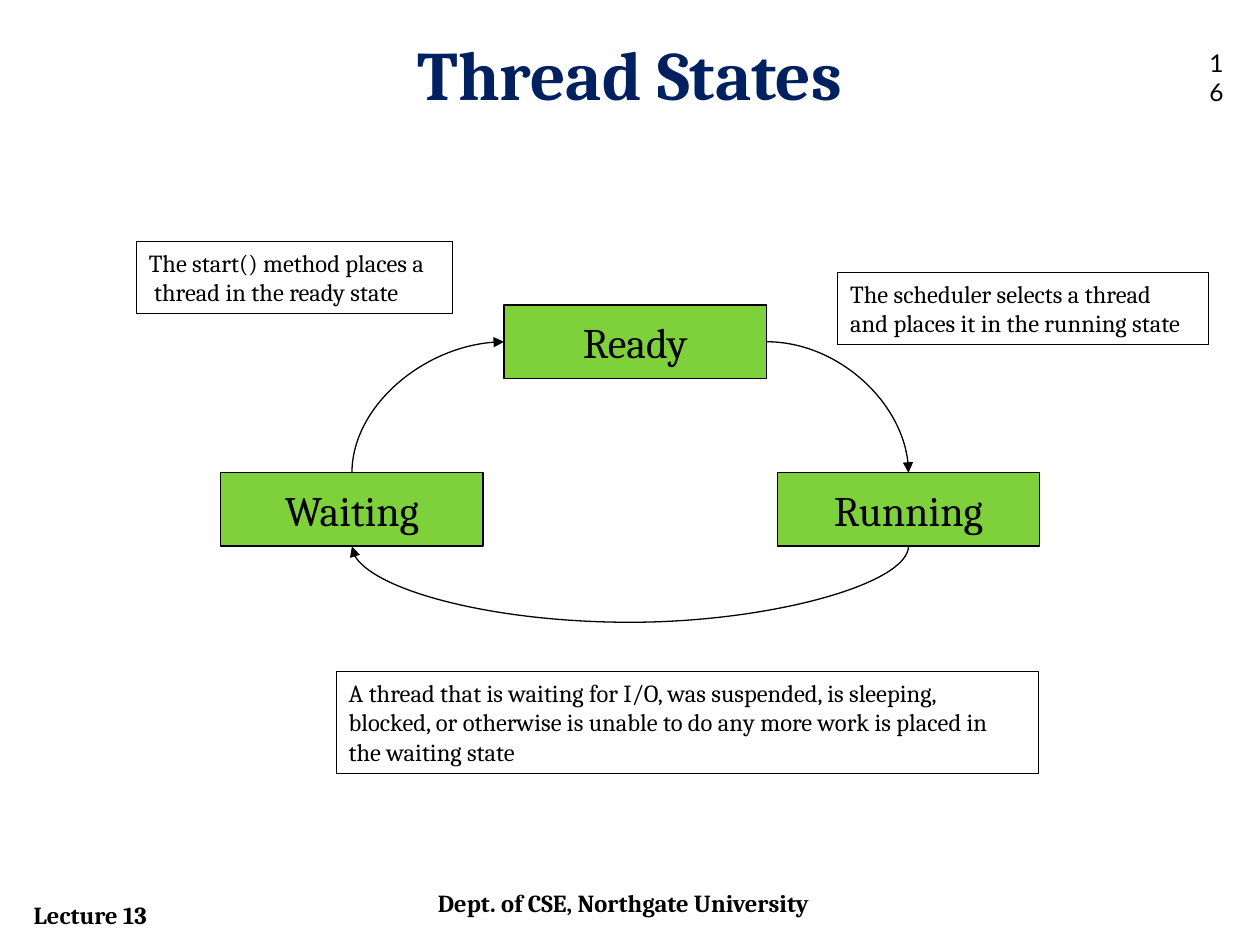
from collections import namedtuple

from lxml.etree import SubElement
from pptx import Presentation
from pptx.dml.color import RGBColor
from pptx.enum.shapes import MSO_CONNECTOR, MSO_SHAPE
from pptx.enum.text import MSO_ANCHOR, PP_ALIGN
from pptx.oxml.ns import qn
from pptx.util import Cm, Pt

Box = namedtuple("Box", "left top width height")
BLACK, GREEN, NAVY = "000000", "7FD13B", "002060"
TOP, LEFT, BOTTOM, RIGHT = range(4)  # connection sites of a rectangle


def color(hex_value):
    return RGBColor.from_string(hex_value)


def place(shape, box):
    shape.left, shape.top, shape.width, shape.height = map(Cm, box)


def write(shape, text, size=14, font="Cambria", ink=BLACK, bold=False,
          align=PP_ALIGN.LEFT, anchor=MSO_ANCHOR.TOP):
    """Fill a shape with text, one paragraph per line."""
    frame = shape.text_frame
    frame.word_wrap = True
    frame.vertical_anchor = anchor
    frame.text = text
    for paragraph in frame.paragraphs:
        paragraph.alignment = align
        for run in paragraph.runs:
            run.font.name = font
            run.font.size = Pt(size)
            run.font.bold = bold
            run.font.color.rgb = color(ink)


def add_label(slide, box, text, **style):
    label = slide.shapes.add_textbox(*map(Cm, box))
    write(label, text, **style)


def add_panel(slide, box, text, fill=None, **style):
    """Add an outlined rectangle with text."""
    panel = slide.shapes.add_shape(MSO_SHAPE.RECTANGLE, *map(Cm, box))
    panel.shadow.inherit = False
    if fill:
        panel.fill.solid()
        panel.fill.fore_color.rgb = color(fill)
    else:
        panel.fill.background()
    panel.line.color.rgb = color(BLACK)
    panel.line.width = Pt(0.75)
    write(panel, text, **style)
    return panel


def site_point(shape, site):
    """Return the point in centimetres of a rectangle's connection site."""
    across, down = {TOP: (0.5, 0), LEFT: (0, 0.5),
                    BOTTOM: (0.5, 1), RIGHT: (1, 0.5)}[site]
    return (shape.left.cm + across * shape.width.cm,
            shape.top.cm + down * shape.height.cm)


def add_transition(slide, source, source_site, target, target_site,
                   turn=0, bulge=None):
    """Join two states with a curved arrow; bulge makes it a U-turn."""
    arrow = slide.shapes.add_connector(MSO_CONNECTOR.CURVE, 0, 0, 0, 0)
    arrow.begin_connect(source, source_site)
    arrow.end_connect(target, target_site)
    arrow.line.color.rgb = color(BLACK)
    arrow.line.width = Pt(0.75)

    # Frame before rotation: same centre, sides swapped by a quarter turn
    x1, y1 = site_point(source, source_site)
    x2, y2 = site_point(target, target_site)
    width, height = abs(x2 - x1), max(abs(y2 - y1), 0.01)
    if turn in (90, 270):
        width, height = height, width
    place(arrow, Box((x1 + x2 - width) / 2, (y1 + y2 - height) / 2,
                     width, height))

    properties = arrow._element.spPr
    frame = properties.find(qn("a:xfrm"))
    for flip in ("flipH", "flipV"):
        frame.attrib.pop(flip, None)
    frame.set("rot", str(turn * 60000))
    geometry = properties.find(qn("a:prstGeom"))
    if bulge is None:
        geometry.set("prst", "curvedConnector2")
    else:
        guides = geometry.find(qn("a:avLst"))
        SubElement(guides, qn("a:gd"), name="adj1",
                   fmla=f"val {round(bulge / width * 100000)}")
    SubElement(properties.find(qn("a:ln")), qn("a:tailEnd"), type="triangle")
    SubElement(properties, qn("a:effectLst"))


def build_header(slide, box):
    # Title
    title = slide.shapes.title
    place(title, Box(box.left, box.top, 22.86, box.height))
    write(title, "Thread States", size=39.6, ink=NAVY, bold=True,
          align=PP_ALIGN.CENTER, anchor=MSO_ANCHOR.MIDDLE)
    # Page number
    add_label(slide, Box(box.left + box.width - 1.07, box.top + 0.36, 1.07, 1.02),
              "16", font="Lato")


def build_state_cycle(slide, box):
    # States: Ready on top, the other two in the lower corners
    width, height = 5.29, 1.48
    lower = box.height - height
    offsets = {"Ready": (5.71, 0), "Running": (box.width - width, lower),
               "Waiting": (0, lower)}
    states = {
        name: add_panel(slide, Box(box.left + x, box.top + y, width, height),
                        name, fill=GREEN, size=24, align=PP_ALIGN.CENTER,
                        anchor=MSO_ANCHOR.MIDDLE)
        for name, (x, y) in offsets.items()
    }
    ready, running, waiting = states.values()
    # Transitions
    add_transition(slide, ready, RIGHT, running, TOP)
    add_transition(slide, running, BOTTOM, waiting, BOTTOM, turn=90, bulge=1.54)
    add_transition(slide, waiting, TOP, ready, LEFT, turn=270)


def build_notes(slide, box):
    notes = [
        (Box(0, 0, 6.38, 1.45),
         "The start() method places a\n thread in the ready state"),
        (Box(14.14, 0.63, 7.48, 1.45),
         "The scheduler selects a thread\nand places it in the running state"),
        (Box(4.03, 8.67, 14.15, 2.06),
         "A thread that is waiting for I/O, was suspended, is sleeping,\n"
         "blocked, or otherwise is unable to do any more work is placed in\n"
         "the waiting state"),
    ]
    for spot, text in notes:
        add_panel(slide, Box(box.left + spot.left, box.top + spot.top,
                             spot.width, spot.height), text)


def build_footer(slide, box):
    add_label(slide, Box(box.left, box.top + 0.23, 5.08, 0.86),
              "Lecture 13", bold=True)
    add_label(slide, Box(box.left + 8.15, box.top, 8.26, 1.02),
              "Dept. of CSE, Northgate University", bold=True)


def main():
    deck = Presentation()
    deck.slide_width, deck.slide_height = Cm(25.4), Cm(19.05)
    slide = deck.slides.add_slide(deck.slide_layouts[5])
    build_header(slide, Box(1.27, 0.48, 23.93, 1.96))
    build_state_cycle(slide, Box(4.45, 6.15, 16.51, 4.86))
    build_notes(slide, Box(2.75, 4.87, 21.62, 10.73))
    build_footer(slide, Box(0.43, 17.78, 16.41, 1.09))
    deck.save("out.pptx")


if __name__ == "__main__":
    main()
